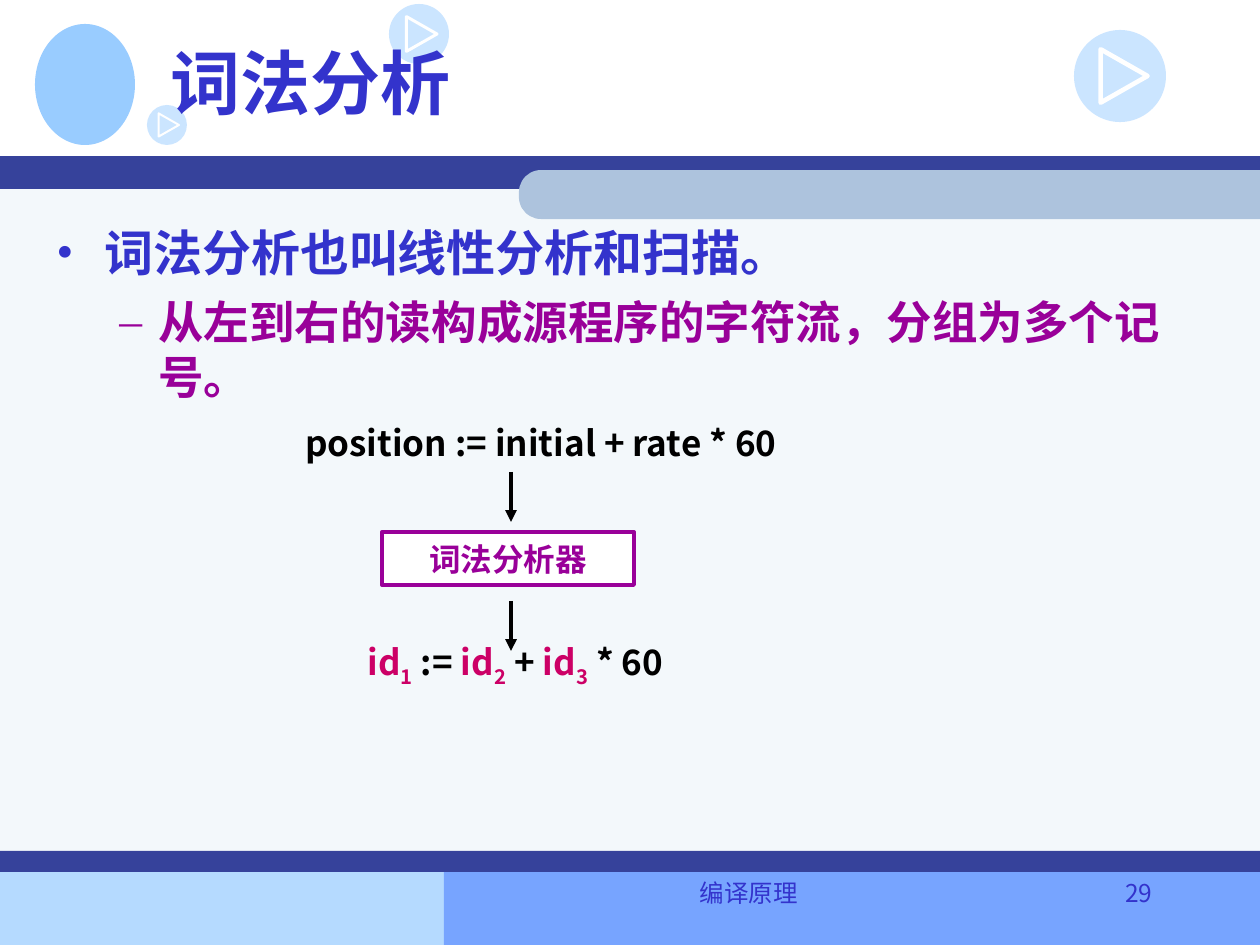
from dataclasses import dataclass, field

from lxml.etree import SubElement
from pptx import Presentation
from pptx.dml.color import RGBColor
from pptx.enum.lang import MSO_LANGUAGE_ID
from pptx.enum.shapes import MSO_CONNECTOR, MSO_SHAPE
from pptx.enum.text import MSO_ANCHOR, PP_ALIGN
from pptx.oxml.ns import qn
from pptx.util import Pt

SCALE = 914400 / 126  # EMU in one px
COLORS = {
    "white": "FFFFFF", "black": "000000", "blue": "3333CC", "purple": "990099",
    "pink": "CC0066", "sky": "99CCFF", "navy": "36429B", "paper": "F3F8FB",
    "foot_left": "B5DAFF", "foot_right": "77A4FF", "tab": "ADC3DD",
}
SERIF, SANS, FOOTER = "Times New Roman", "Noto Sans CJK SC", "Noto Sans CJK KR"


@dataclass
class Area:
    left: int
    top: int
    width: int
    height: int
    color: str
    kind: MSO_SHAPE = MSO_SHAPE.RECTANGLE


@dataclass
class Button:
    left: int
    top: int
    size: int


@dataclass
class Span:
    text: str
    color: str
    subscript: bool = False


@dataclass
class Para:
    spans: list[Span]
    size: int
    font: str = SERIF
    bold: bool = True
    bullet: str = ""
    margin: int = 0
    indent: int = 0
    settings: dict = field(default_factory=dict)


@dataclass
class Label:
    left: int
    top: int
    width: int
    height: int
    paras: list[Para]
    anchor: MSO_ANCHOR = MSO_ANCHOR.MIDDLE


def px(length: float) -> int:
    return round(length * SCALE)


def rgb(name: str) -> RGBColor:
    return RGBColor.from_string(COLORS[name])


def draw_area(page, area: Area):
    shape = page.shapes.add_shape(
        area.kind, px(area.left), px(area.top), px(area.width), px(area.height))
    shape.shadow.inherit = False
    shape.fill.solid()
    shape.fill.fore_color.rgb = rgb(area.color)
    shape.line.fill.background()
    return shape


def draw_button(page, button: Button) -> None:
    size = button.size
    disc = draw_area(page, Area(button.left, button.top, size, size, "sky", MSO_SHAPE.OVAL))
    tint = disc.fill._xPr.find(qn("a:solidFill"))[0]
    SubElement(tint, qn("a:alpha"), val="50000")
    corners = [(px(button.left + size * x), px(button.top + size * y))
               for x, y in ((0.29, 0.21), (0.8, 0.5), (0.29, 0.79))]
    builder = page.shapes.build_freeform(*corners[0])
    builder.add_line_segments(corners[1:], close=True)
    triangle = builder.convert_to_shape()
    triangle.shadow.inherit = False
    triangle.fill.background()
    triangle.line.color.rgb = rgb("white")
    triangle.line.width = px(size * 0.05)
    SubElement(triangle.line._get_or_add_ln(), qn("a:round"))


def write_para(paragraph, para: Para) -> None:
    properties = paragraph._p.get_or_add_pPr()
    properties.set("hangingPunct", "0")
    if para.bullet:
        properties.set("marL", str(px(para.margin)))
        properties.set("indent", str(px(para.indent)))
        SubElement(properties, qn("a:buFont"), typeface=SERIF)
        SubElement(properties, qn("a:buChar"), char=para.bullet)
    for name, value in para.settings.items():
        setattr(paragraph, name, value)
    for span in para.spans:
        run = paragraph.add_run()
        run.text = span.text
        formats = {"name": para.font, "size": Pt(para.size), "bold": para.bold,
                   "language_id": MSO_LANGUAGE_ID.SIMPLIFIED_CHINESE}
        for name, value in formats.items():
            setattr(run.font, name, value)
        run.font.color.rgb = rgb(span.color)
        if span.subscript:
            run._r.get_or_add_rPr().set("baseline", "-25000")


def write_text(shape, paras: list[Para], anchor: MSO_ANCHOR) -> None:
    frame = shape.text_frame
    frame.word_wrap = True
    frame.vertical_anchor = anchor
    for number, para in enumerate(paras):
        write_para(frame.add_paragraph() if number else frame.paragraphs[0], para)


def draw_label(page, label: Label) -> None:
    box = page.shapes.add_textbox(
        px(label.left), px(label.top), px(label.width), px(label.height))
    write_text(box, label.paras, label.anchor)


def draw_arrow(page, x: int, top: int, bottom: int) -> None:
    arrow = page.shapes.add_connector(
        MSO_CONNECTOR.STRAIGHT, px(x), px(top), px(x), px(bottom))
    arrow.line.color.rgb = rgb("black")
    arrow.line.width = Pt(2.25)
    SubElement(arrow.line._get_or_add_ln(), qn("a:tailEnd"), type="triangle")
    SubElement(arrow._element.spPr, qn("a:effectLst"))


CENTER = {"alignment": PP_ALIGN.CENTER}
RIGHT = {"alignment": PP_ALIGN.RIGHT}

BANDS = [
    Area(0, 872, 535, 73, "foot_left"),
    Area(444, 871, 816, 74, "foot_right"),
    Area(0, 176, 1260, 695, "paper"),
    Area(0, 156, 1260, 33, "navy"),
    Area(0, 851, 1260, 21, "navy"),
]
EMBLEM = Area(35, 24, 100, 121, "sky", MSO_SHAPE.OVAL)
BUTTONS = [Button(389, 4, 60), Button(1074, 30, 92), Button(147, 105, 40)]

TOKENS = [
    Span("id", "pink"), Span("1", "pink", True), Span(" := ", "black"),
    Span("id", "pink"), Span("2", "pink", True), Span(" + ", "black"),
    Span("id", "pink"), Span("3", "pink", True), Span(" * 60", "black"),
]
LABELS = [
    Label(431, 872, 636, 63, [Para([Span("编译原理", "blue")], 14, FOOTER, False,
                                   settings=CENTER)], MSO_ANCHOR.TOP),
    Label(1067, 872, 98, 63, [Para([Span("29", "blue")], 14, FOOTER, False,
                                   settings=RIGHT)], MSO_ANCHOR.TOP),
    Label(158, 8, 1071, 147, [Para([Span("词法分析", "blue")], 40)]),
    Label(44, 216, 1191, 600, [
        Para([Span("词法分析也叫线性分析和扫描。", "blue")], 28, bullet="•",
             margin=48, indent=-48, settings={"line_spacing": Pt(34)}),
        Para([Span("从左到右的读构成源程序的字符流，分组为多个记号。", "purple")], 26,
             bullet="–", margin=102, indent=-39,
             settings={"line_spacing": Pt(31.5), "space_before": Pt(6.5)}),
    ], MSO_ANCHOR.TOP),
    Label(243, 423, 596, 39, [Para([Span("position := initial + rate * 60", "black")],
                                   20, SANS, settings=CENTER)]),
    Label(252, 648, 527, 33, [Para(TOKENS, 20, SANS, settings=CENTER)]),
]


def main() -> None:
    deck = Presentation()
    deck.slide_width, deck.slide_height = px(1260), px(945)
    page = deck.slides.add_slide(deck.slide_layouts[6])

    # Background bands, with the round-ended tab turned on its side
    for band in BANDS:
        draw_area(page, band)
    width, height = 741, 49
    tab = draw_area(page, Area(519 + (width - height) // 2, 170 - (width - height) // 2,
                               height, width, "tab", MSO_SHAPE.ROUND_2_SAME_RECTANGLE))
    tab.adjustments[0] = 0.45
    tab.rotation = 270

    # Header ornaments
    draw_area(page, EMBLEM)
    for button in BUTTONS:
        draw_button(page, button)

    # Title, bullets, code lines and footer
    for label in LABELS:
        draw_label(page, label)

    # Analyser box with its incoming and outgoing arrows
    analyser = draw_area(page, Area(382, 532, 252, 53, "white"))
    analyser.line.color.rgb = rgb("purple")
    analyser.line.width = Pt(2.25)
    write_text(analyser, [Para([Span("词法分析器", "purple")], 18, settings=CENTER)],
               MSO_ANCHOR.MIDDLE)
    for top in (472, 601):
        draw_arrow(page, 511, top, top + 50)

    deck.save("out.pptx")


if __name__ == "__main__":
    main()
